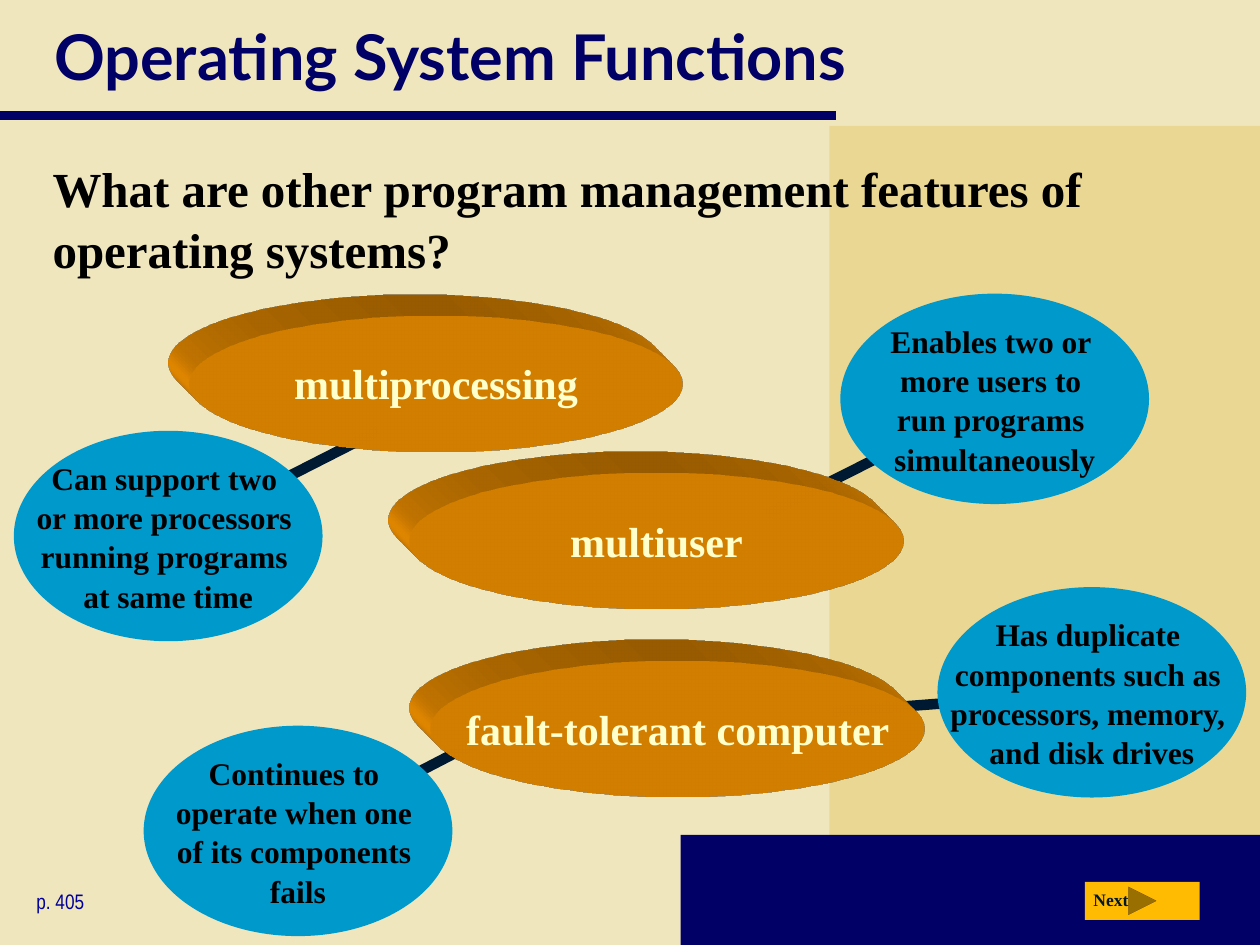
from lxml.etree import SubElement
from pptx import Presentation
from pptx.dml.color import RGBColor as RGB
from pptx.enum.shapes import MSO_CONNECTOR as CONN, MSO_SHAPE as SHAPE
from pptx.enum.text import MSO_ANCHOR as ANCHOR, PP_ALIGN as ALIGN
from pptx.oxml import parse_xml
from pptx.oxml.ns import nsdecls, qn
from pptx.util import Pt

HEX = {"sand": "F0E6BE", "tan": "E9D793", "navy": "000066", "ink": "001932",
       "blue": "0099CC", "orange": "FF9900", "cream": "FFFFCC",
       "gold": "FFBA02", "page": "000099", "black": "000000"}
SERIF = "Times New Roman"
OVAL = 176.4, 120.25
DISC = 282.25, 77.75

# Oval left and top, line start and end, text
NOTES = [
    ((535.7, 335.5), (551.5, 401), (475.2, 406.8),
     "Has duplicate \vcomponents such as \vprocessors, memory, \vand disk drives"),
    ((480.2, 167.8), (520.6, 252), (437.8, 293.8),
     "Enables two or \vmore users to \vrun programs \vsimultaneously"),
    ((82.1, 414.7), (290.2, 414.7), (208.1, 457.2),
     "Continues to \voperate when one \vof its components \vfails"),
    ((7.9, 246.2), (216, 246.2), (133.9, 288),
     "Can support two \vor more processors \vrunning programs \vat same time"),
]
TERMS = [((246.2, 377.3), "fault-tolerant computer"),
         ((234, 270), "multiuser"),
         ((108, 180), "multiprocessing")]


def color(key):
    return RGB.from_string(HEX[key])


def write(shape, text, size, ink, name=SERIF, bold=True, align=ALIGN.LEFT,
          anchor=ANCHOR.TOP, wrap=True, lead=None):
    frame = shape.text_frame
    frame.word_wrap = wrap
    frame.vertical_anchor = anchor
    frame.text = text
    para = frame.paragraphs[0]
    para.alignment = align
    if lead:
        para.line_spacing = lead
    style = {"size": Pt(size), "name": name, "bold": bold}
    for run in para.runs:
        for key, value in style.items():
            setattr(run.font, key, value)
        run.font.color.rgb = color(ink)


def block(shapes, kind, spot, size, fill):
    shape = shapes.add_shape(kind, *map(Pt, spot + size))
    shape.shadow.inherit = False
    shape.fill.solid()
    shape.fill.fore_color.rgb = color(fill)
    shape.line.fill.background()
    return shape


def rule(shapes, start, end, ink, width):
    line = shapes.add_connector(CONN.STRAIGHT, *map(Pt, start + end))
    line.line.color.rgb = color(ink)
    line.line.width = Pt(width)
    SubElement(line._element.spPr, qn("a:effectLst"))


def label(shapes, spot, size, text, *args, **style):
    write(shapes.add_textbox(*map(Pt, spot + size)), text, *args, **style)


def note(shapes, spot, start, end, text):
    """Blue oval with the line that ties it to a term."""
    group = shapes.add_group_shape().shapes
    rule(group, start, end, "ink", 6)
    oval = block(group, SHAPE.OVAL, spot, OVAL, "blue")
    write(oval, text, 18, "black", align=ALIGN.CENTER, anchor=ANCHOR.MIDDLE,
          wrap=False, lead=1.04)


def extrude(shape, fill):
    """Give the shape depth towards the top left."""
    props = shape._element.spPr
    space = nsdecls("a")
    props.append(parse_xml(
        f'<a:scene3d {space}><a:camera prst="legacyObliqueTopLeft"/>'
        '<a:lightRig rig="legacyFlat3" dir="b"/></a:scene3d>'))
    props.append(parse_xml(
        f'<a:sp3d {space} extrusionH="430200" prstMaterial="legacyMatte">'
        '<a:bevelT w="13500" h="13500" prst="angle"/>'
        '<a:bevelB w="13500" h="13500" prst="angle"/>'
        f'<a:extrusionClr><a:srgbClr val="{HEX[fill]}"/></a:extrusionClr>'
        '</a:sp3d>'))


def term(shapes, spot, text):
    disc = block(shapes, SHAPE.OVAL, spot, DISC, "orange")
    extrude(disc, "orange")
    write(disc, text, 24, "cream", align=ALIGN.CENTER, anchor=ANCHOR.MIDDLE,
          wrap=False)


def head(title, text):
    place = {"left": 23.75, "top": 0, "width": 676, "height": 63.4}
    for key, value in place.items():
        setattr(title, key, Pt(value))
    write(title, text, 36, "navy", name="Lato", anchor=ANCHOR.MIDDLE)


def button(shapes):
    group = shapes.add_group_shape().shapes
    block(group, SHAPE.ACTION_BUTTON_FORWARD_OR_NEXT, (620, 504), (65.5, 21.6),
          "gold")
    label(group, (617.75, 504.7), (36.7, 19.4), "Next", 10, "ink")


def main():
    deck = Presentation()
    deck.slide_width, deck.slide_height = Pt(720), Pt(540)
    slide = deck.slides.add_slide(deck.slide_layouts[5])
    back = slide.background.fill
    back.solid()
    back.fore_color.rgb = color("sand")
    shapes = slide.shapes

    block(shapes, SHAPE.RECTANGLE, (474, 72), (246, 468), "tan")
    block(shapes, SHAPE.RECTANGLE, (389, 477), (331, 63), "navy")
    rule(shapes, (0, 66), (478, 66), "navy", 5)
    head(shapes.title, "Operating System Functions")
    label(shapes, (23, 85.7), (676, 87.8),
          "What are other program management features of operating systems?",
          28, "black", lead=1.04)
    for item in NOTES:
        note(shapes, *item)
    for item in TERMS:
        term(shapes, *item)
    button(shapes)
    label(shapes, (13.7, 504), (121.7, 21.6), "p. 405", 12, "page",
          name="Arial Narrow", bold=False)
    deck.save("out.pptx")


if __name__ == "__main__":
    main()
